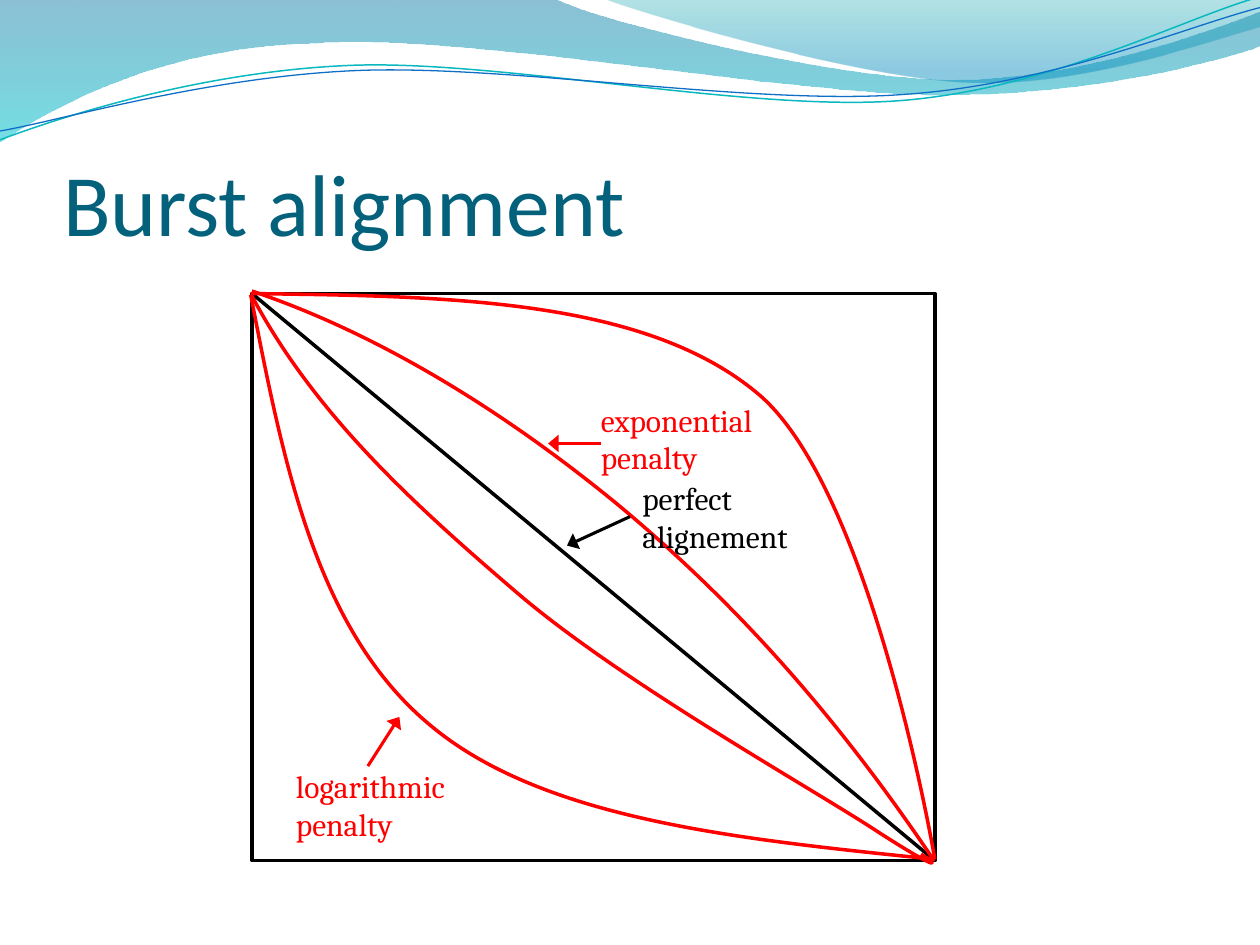
import math
from dataclasses import dataclass

import pptx
import pptx.dml.color
import pptx.enum.shapes
import pptx.enum.text
import pptx.oxml
import pptx.oxml.ns
import pptx.util

COLUMNS = 10  # the slide is 10 square grid cells wide and 7.5 high
ROWS = 7.5
CELL = pptx.util.Inches(1)
NAMESPACE = pptx.oxml.ns.nsdecls("a")
COLORS = {
    "title": "04617B", "black": "000000", "red": "FF0000",
    "teal": "0AB8BF", "blue": "0F6FC6",
    "deep": "0074A1", "aqua": "00C6CF", "sea": "00A1A9", "sky": "008BBF",
}

Point = tuple[float, float]
Segment = tuple[Point, ...]  # one point: straight; three points: cubic curve
Frame = tuple[float, float, float, float]  # left, top, width, height


@dataclass
class Stop:
    color: str
    position: float
    opacity: int


@dataclass
class Wave:
    frame: Frame
    start: Point
    segments: list[Segment]
    stops: tuple[Stop, Stop]
    rotation: float = 0


@dataclass
class Curve:
    frame: Frame
    start: Point
    segments: list[Segment]
    color: str = "red"
    width: float = 2
    rotation: float = 0


@dataclass
class Callout:
    text: str
    color: str
    left: float
    top: float
    width: float
    arrow_start: Point
    arrow_end: Point


BOX_LEFT, BOX_TOP, BOX_WIDTH, BOX_HEIGHT = 2, 2.33, 5.42, 4.5
WAVE_TILT = 357.3

WAVES = [
    Wave((-0.01, -0.01, 10.02, 1.14), (0, 0), [
        ((4.4, -0.01),),
        ((4.76, 0.17), (6.64, 0.63), (7.58, 0.63)),
        ((8.53, 0.63), (9.58, 0.26), (10, 0.09)),
        ((10.01, 0.36),),
        ((9.83, 0.44), (8.7, 0.76), (7.46, 0.75)),
        ((6.22, 0.75), (3.82, 0.28), (2.57, 0.34)),
        ((1.29, 0.36), (0.46, 0.83), (-0.01, 1.13)),
        ((0, 0),),
    ], (Stop("deep", 0, 45), Stop("aqua", 1, 55))),
    Wave((4.79, -0.01, 5.21, 0.7), (4.79, -0.01), [
        ((5.09, 0.11), (6.82, 0.62), (7.69, 0.65)),
        ((8.56, 0.69), (9.61, 0.32), (10, 0.21)),
        ((10, 0),),
        ((4.79, -0.01),),
    ], (Stop("sea", 0, 30), Stop("sky", 0.8, 45))),
]
WAVE_LINES = [
    Curve((-0.02, 0.22, 10.02, 0.71), (0, 1.11), [
        ((0.48, 0.93), (1.58, 0.57), (2.77, 0.52)),
        ((3.95, 0.47), (5.93, 0.89), (7.13, 0.8)),
        ((8.33, 0.71), (9.38, 0.15), (9.98, -0.02)),
    ], "teal", 0.85, WAVE_TILT),
    Curve((-0.02, 0.3, 10.03, 0.58), (0, 1.04), [
        ((0.47, 0.96), (1.64, 0.61), (2.83, 0.56)),
        ((4.03, 0.51), (5.97, 0.84), (7.17, 0.75)),
        ((8.36, 0.67), (9.41, 0.21), (10, 0.06)),
    ], "blue", 0.75, WAVE_TILT),
]
PENALTY_CURVES = [
    Curve((2, 2.35, 5.4, 4.5), (2, 2.35), [
        ((2.5, 3.29), (3.28, 4), (4.11, 4.71)),
        ((4.94, 5.42), (6.45, 6.26), (6.98, 6.61)),
        ((7.51, 6.95), (7.43, 6.85), (7.31, 6.78)),
    ]),
    Curve((2, 2.31, 5.4, 4.49), (2, 2.31), [
        ((3.01, 2.65), (4.01, 3.27), (4.91, 4.01)),
        ((5.81, 4.76), (6.61, 5.64), (7.4, 6.81)),
    ]),
    Curve((1.99, 2.34, 5.43, 4.48), (1.99, 2.34), [
        ((2.25, 3.68), (2.51, 5.01), (3.42, 5.76)),
        ((4.32, 6.51), (5.87, 6.66), (7.42, 6.82)),
    ]),
    Curve((1.99, 2.33, 5.43, 4.49), (1.99, 2.33), [
        ((3.55, 2.35), (5.11, 2.37), (6.01, 3.12)),
        ((6.92, 3.87), (7.42, 6.82), (7.42, 6.82)),
        ((7.42, 6.82),),
    ]),
]
CALLOUTS = [
    Callout("perfect alignement", "black", 5, 3.75, 1.67, (5, 4.1), (4.5, 4.33)),
    Callout("exponential penalty", "red", 4.67, 3.13, 1.58, (4.77, 3.52), (4.35, 3.52)),
    Callout("logarithmic penalty", "red", 2.25, 6.04, 1.58, (2.92, 6.08), (3.17, 5.69)),
]


def cells(*values: float) -> list[int]:
    return [round(value * CELL) for value in values]


def rgb(name: str) -> pptx.dml.color.RGBColor:
    return pptx.dml.color.RGBColor.from_string(COLORS[name])


def local_point(point: Point, path: Wave | Curve) -> str:
    """Return a slide point as XML, measured inside the unrotated frame."""
    left, top, width, height = path.frame
    x, y = point[0] - left - width / 2, point[1] - top - height / 2
    angle = math.radians(-path.rotation)
    x, y = (x * math.cos(angle) - y * math.sin(angle) + width / 2,
            x * math.sin(angle) + y * math.cos(angle) + height / 2)
    across, down = cells(x, y)
    return f'<a:pt x="{across}" y="{down}"/>'


def add_path(slide, path: Wave | Curve, close: bool):
    """Add a freeform and give its outline true cubic curves."""
    builder = slide.shapes.build_freeform(*cells(*path.start))
    builder.add_line_segments([cells(*segment[-1]) for segment in path.segments], close=close)
    shape = builder.convert_to_shape()
    shape.shadow.inherit = False
    shape.left, shape.top, shape.width, shape.height = cells(*path.frame)
    shape.rotation = path.rotation
    steps = f"<a:moveTo>{local_point(path.start, path)}</a:moveTo>"
    for segment in path.segments:
        tag = "a:lnTo" if len(segment) == 1 else "a:cubicBezTo"
        steps += f"<{tag}>{''.join(local_point(point, path) for point in segment)}</{tag}>"
    steps += "<a:close/>" if close else ""
    outline = next(shape.element.iter(pptx.oxml.ns.qn("a:path")))
    outline.getparent().replace(outline, pptx.oxml.parse_xml(
        f'<a:path {NAMESPACE} w="{shape.width}" h="{shape.height}">{steps}</a:path>'))
    return shape


def style_line(line, color: str, width: float) -> None:
    line.color.rgb = rgb(color)
    line.width = pptx.util.Pt(width)


def add_wave(slide, wave: Wave):
    shape = add_path(slide, wave, close=True)
    shape.line.fill.background()
    shape.fill.gradient()
    shape.fill.gradient_angle = 270
    elements = shape.element.iter(pptx.oxml.ns.qn("a:gs"))
    for stop, target, element in zip(wave.stops, shape.fill.gradient_stops, elements):
        target.color.rgb = rgb(stop.color)
        target.position = stop.position
        element[0].append(pptx.oxml.parse_xml(
            f'<a:alpha {NAMESPACE} val="{stop.opacity * 1000}"/>'))
    return shape


def add_curve(slide, curve: Curve):
    shape = add_path(slide, curve, close=False)
    shape.fill.background()
    style_line(shape.line, curve.color, curve.width)
    return shape


def add_line(slide, start: Point, end: Point, color: str, width: float, arrow: bool) -> None:
    line = slide.shapes.add_connector(
        pptx.enum.shapes.MSO_CONNECTOR.STRAIGHT, *cells(*start, *end))
    style_line(line.line, color, width)
    if arrow:
        line.element.spPr.find(pptx.oxml.ns.qn("a:ln")).append(pptx.oxml.parse_xml(
            f'<a:tailEnd {NAMESPACE} type="triangle" w="lg" len="med"/>'))
    line.element.spPr.append(pptx.oxml.parse_xml(f"<a:effectLst {NAMESPACE}/>"))


def style_font(font, name: str, size: float, color: str) -> None:
    font.name = name
    font.size = pptx.util.Pt(size)
    font.color.rgb = rgb(color)


def add_callout(slide, callout: Callout) -> None:
    box = slide.shapes.add_textbox(*cells(callout.left, callout.top, callout.width, 0.71))
    box.text_frame.word_wrap = True
    box.text_frame.auto_size = pptx.enum.text.MSO_AUTO_SIZE.SHAPE_TO_FIT_TEXT
    paragraph = box.text_frame.paragraphs[0]
    paragraph.text = callout.text
    style_font(paragraph.font, "Cambria", 18, callout.color)
    add_line(slide, callout.arrow_start, callout.arrow_end, callout.color, 1.75, arrow=True)


def format_title(title) -> None:
    title.left, title.top, title.width, title.height = cells(0.5, 0.77, 9, 1.25)
    frame = title.text_frame
    frame.margin_left, frame.margin_top, frame.margin_right, frame.margin_bottom = cells(
        0, 0.05, 0, 0)
    frame.vertical_anchor = pptx.enum.text.MSO_ANCHOR.BOTTOM
    frame.text = "Burst alignment"
    frame.paragraphs[0].alignment = pptx.enum.text.PP_ALIGN.LEFT
    style_font(frame.paragraphs[0].font, "Calibri", 50, "title")


def main() -> None:
    presentation = pptx.Presentation()
    presentation.slide_width, presentation.slide_height = cells(COLUMNS, ROWS)
    layout = presentation.slide_layouts[5]
    slide = presentation.slides.add_slide(layout)
    format_title(slide.shapes.title)
    backdrop = [add_wave(slide, wave) for wave in WAVES]
    backdrop += [add_curve(slide, curve) for curve in WAVE_LINES]
    for index, shape in enumerate(backdrop):  # behind the layout's placeholders
        shape.element.nvSpPr.cNvPr.set("id", str(100 + index))
        layout.shapes.element.insert(2 + index, shape.element)

    box = slide.shapes.add_shape(
        pptx.enum.shapes.MSO_SHAPE.RECTANGLE,
        *cells(BOX_LEFT, BOX_TOP, BOX_WIDTH, BOX_HEIGHT))
    box.shadow.inherit = False
    box.fill.background()
    style_line(box.line, "black", 2)
    add_line(slide, (BOX_LEFT, BOX_TOP), (BOX_LEFT + BOX_WIDTH, BOX_TOP + BOX_HEIGHT),
             "black", 2, arrow=False)
    for curve in PENALTY_CURVES:
        add_curve(slide, curve)
    for callout in CALLOUTS:
        add_callout(slide, callout)
    presentation.save("out.pptx")


if __name__ == "__main__":
    main()
